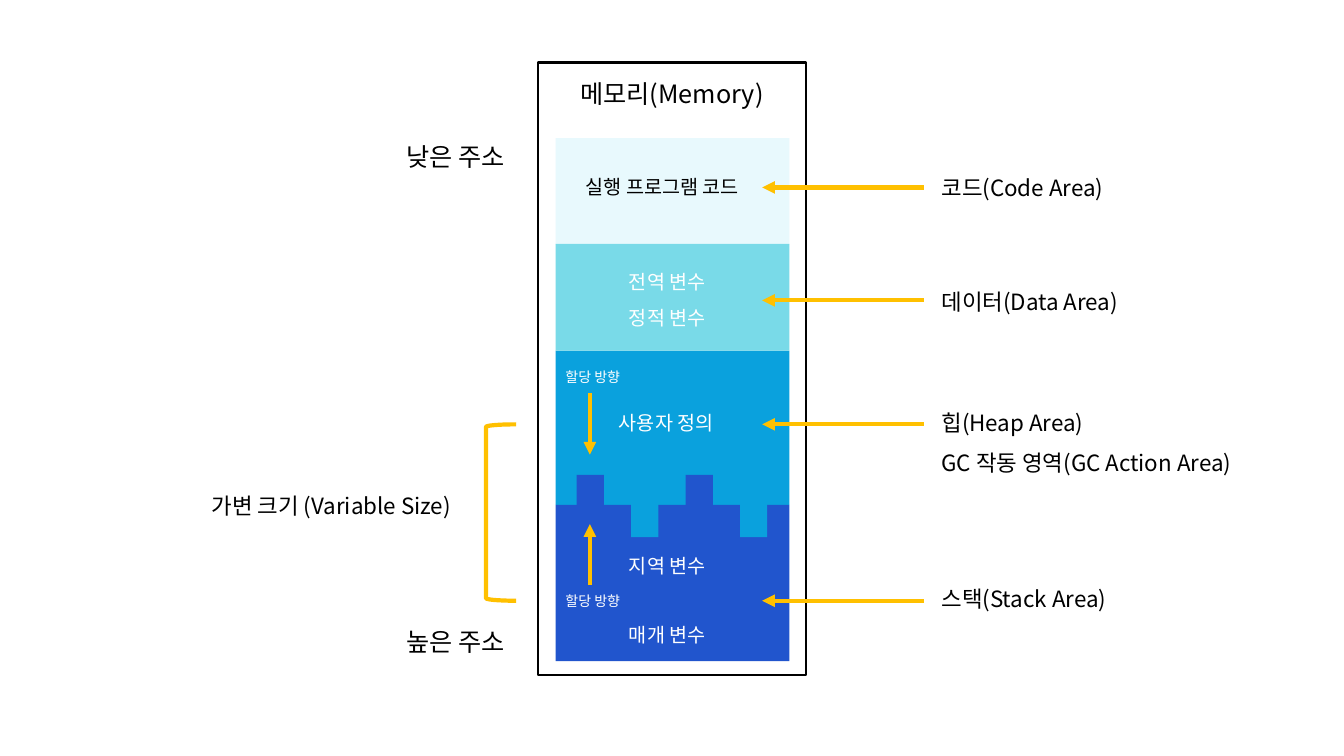
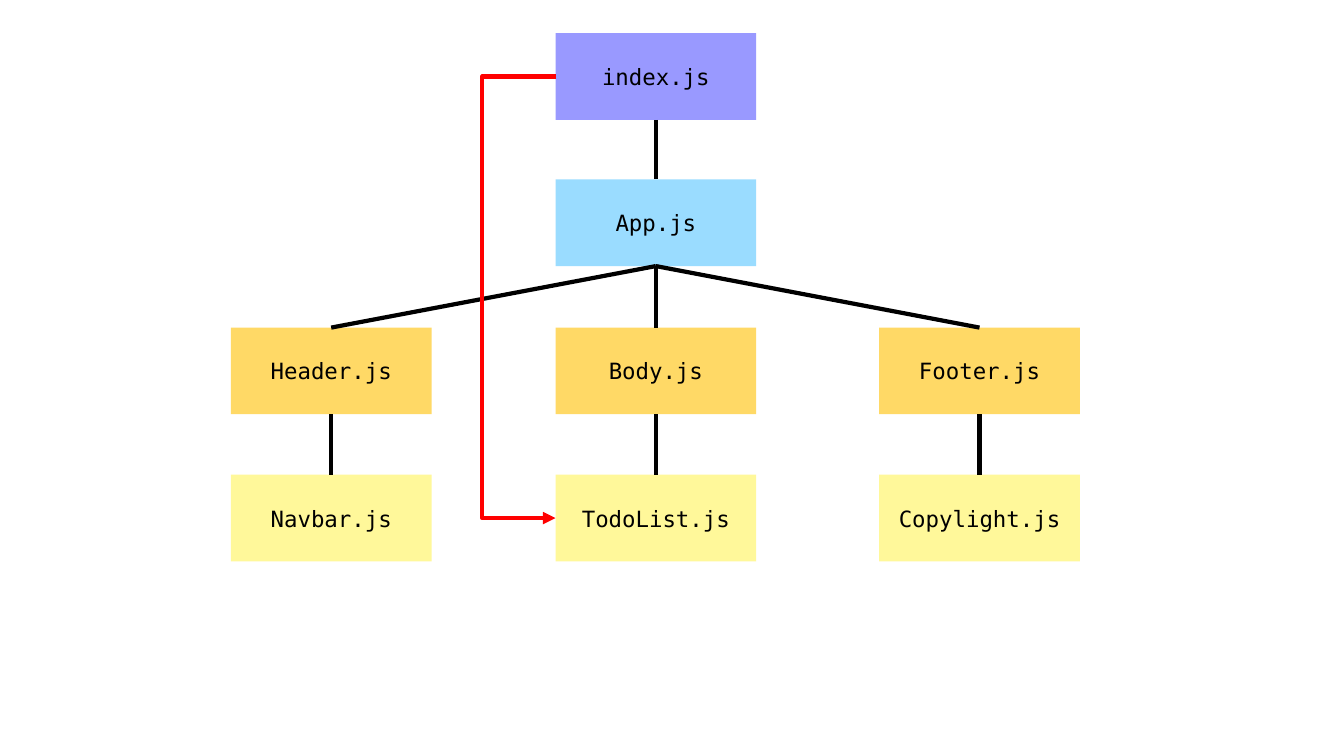
from dataclasses import dataclass
from typing import Optional

from lxml.etree import SubElement
from pptx import Presentation
from pptx.dml.color import RGBColor
from pptx.enum.shapes import MSO_CONNECTOR as Line, MSO_SHAPE as Shape
from pptx.enum.text import MSO_ANCHOR as Anchor, MSO_AUTO_SIZE as AutoSize, PP_ALIGN as Align
from pptx.oxml.ns import qn
from pptx.util import Inches, Pt

KOREAN = "Noto Sans CJK KR"
MONO = "DejaVu Sans Mono"
BLACK, WHITE, AMBER, RED = "000000", "FFFFFF", "FFC000", "FF0000"
HEAP, STACK = "0AA1DD", "2155CD"
LINE_WIDTH = 3

BAND_LEFT, BAND_WIDTH = 5.51, 2.32
TOOTH_LEFT, TOOTH_TOP, TOOTH_STEP = 5.72, 4.71, 0.54
TOOTH_WIDTH, TOOTH_HEIGHT = 0.27, 0.62
POINTER_START, POINTER_END = 9.16, 7.56
POINTER_ROWS = (1.86, 2.98, 4.21, 5.96)
GROWTH_X = 5.85

FILE_WIDTH, FILE_HEIGHT = 1.99, 0.86
COLUMNS = (2.29, 5.51, 8.72)
ROWS = (0.33, 1.78, 3.25, 4.71)
ROW_FILLS = ("9999FF", "9ADCFF", "FFD966", "FFF89A")
DETOUR_X = 4.77


@dataclass(frozen=True)
class Band:
    top: float
    height: float
    fill: str


@dataclass(frozen=True)
class Label:
    text: str
    left: float
    top: float
    width: float
    height: float
    size: int
    color: str = BLACK
    wrap: bool = True
    align: Align = Align.LEFT


@dataclass(frozen=True)
class SourceFile:
    name: str
    row: int
    column: int
    parent: Optional[str] = None


def variable_label(text: str, top: float, left: float = 6.14, width: float = 1.06,
                   color: str = WHITE) -> Label:
    return Label(text, left, top, width, 0.34, 14, color, wrap=False)


def area_label(text: str, top: float, width: float, left: float = 9.24) -> Label:
    return Label(text, left, top, width, 0.37, 16)


def address_label(text: str, top: float) -> Label:
    return Label(text, 3.93, top, 1.3, 0.4, 18, wrap=False)


def growth_label(top: float) -> Label:
    return Label("할당 방향", BAND_LEFT, top, 0.81, 0.27, 10, WHITE, wrap=False)


BANDS = (
    Band(3.48, 1.53, HEAP),
    Band(5.01, 1.55, STACK),
    Band(1.37, 1.06, "E8F9FD"),
    Band(2.42, 1.06, "79DAE8"),
)

LABELS = (
    Label("메모리(Memory)", 5.55, 0.73, 2.23, 0.4, 18, align=Align.CENTER),
    address_label("낮은 주소", 1.35),
    address_label("높은 주소", 6.16),
    variable_label("실행 프로그램 코드", 1.69, 5.71, 1.91, BLACK),
    variable_label("전역 변수", 2.63),
    variable_label("정적 변수", 2.99),
    variable_label("사용자 정의", 4.03, 6.04, 1.25),
    variable_label("지역 변수", 5.45),
    variable_label("매개 변수", 6.13),
    growth_label(3.61),
    growth_label(5.83),
    area_label("코드(Code Area)", 1.68, 1.98),
    area_label("데이터(Data Area)", 2.81, 1.98),
    area_label("힙(Heap Area)", 4.01, 1.73),
    area_label("GC 작동 영역(GC Action Area)", 4.41, 3.35),
    area_label("스택(Stack Area)", 5.76, 1.94),
    area_label("가변 크기 (Variable Size)", 4.83, 2.66, left=2),
)

FILES = (
    SourceFile("index.js", 0, 1),
    SourceFile("App.js", 1, 1, "index.js"),
    SourceFile("Header.js", 2, 0, "App.js"),
    SourceFile("Body.js", 2, 1, "App.js"),
    SourceFile("Footer.js", 2, 2, "App.js"),
    SourceFile("Navbar.js", 3, 0, "Header.js"),
    SourceFile("TodoList.js", 3, 1, "Body.js"),
    SourceFile("Copylight.js", 3, 2, "Footer.js"),
)


def rgb(color: str) -> RGBColor:
    return RGBColor.from_string(color)


def write(para, text: str, font: str, size: int, color: str, align: Align) -> None:
    para.text = text
    para.alignment = align
    para.font.name = font
    para.font.size = Pt(size)
    para.font.color.rgb = rgb(color)
    defaults = para._p.pPr.find(qn("a:defRPr"))
    SubElement(defaults, qn("a:ea"), typeface=font)


def add_box(page, left: float, top: float, width: float, height: float,
            fill: Optional[str] = None, line: Optional[str] = None,
            weight: float = LINE_WIDTH, kind: Shape = Shape.RECTANGLE):
    box = page.shapes.add_shape(kind, Inches(left), Inches(top), Inches(width), Inches(height))
    box.shadow.inherit = False
    if fill:
        box.fill.solid()
        box.fill.fore_color.rgb = rgb(fill)
    else:
        box.fill.background()
    if line:
        box.line.color.rgb = rgb(line)
        box.line.width = Pt(weight)
    else:
        box.line.fill.background()
    return box


def add_label(page, label: Label) -> None:
    box = page.shapes.add_textbox(Inches(label.left), Inches(label.top),
                                  Inches(label.width), Inches(label.height))
    frame = box.text_frame
    frame.word_wrap = label.wrap
    frame.auto_size = AutoSize.SHAPE_TO_FIT_TEXT
    write(frame.paragraphs[0], label.text, KOREAN, label.size, label.color, label.align)


def add_line(page, start: tuple[float, float], end: tuple[float, float], color: str,
             arrow: bool = False, kind: Line = Line.STRAIGHT):
    line = page.shapes.add_connector(kind, *map(Inches, (*start, *end)))
    line.line.color.rgb = rgb(color)
    line.line.width = Pt(LINE_WIDTH)
    if arrow:
        SubElement(line.line._get_or_add_ln(), qn("a:tailEnd"), type="triangle")
    SubElement(line._element.spPr, qn("a:effectLst"))
    return line


def draw_memory(page) -> None:
    add_box(page, 5.34, 0.62, 2.65, 6.08, WHITE, BLACK, 1.5)
    for band in BANDS:
        add_box(page, BAND_LEFT, band.top, BAND_WIDTH, band.height, band.fill)
    for index, fill in enumerate((STACK, HEAP) * 2):
        add_box(page, TOOTH_LEFT + index * TOOTH_STEP, TOOTH_TOP, TOOTH_WIDTH, TOOTH_HEIGHT, fill)
    for y in POINTER_ROWS:
        add_line(page, (POINTER_START, y), (POINTER_END, y), AMBER, arrow=True)
    for start, end in ((3.9, 4.51), (5.8, 5.2)):
        add_line(page, (GROWTH_X, start), (GROWTH_X, end), AMBER, arrow=True)
    heap_y, stack_y = POINTER_ROWS[2:]
    add_box(page, 4.82, heap_y, 0.3, stack_y - heap_y, line=AMBER, kind=Shape.LEFT_BRACKET)
    for label in LABELS:
        add_label(page, label)


def draw_file_tree(page) -> None:
    boxes = {}
    for file in FILES:
        left, top = COLUMNS[file.column], ROWS[file.row]
        box = add_box(page, left, top, FILE_WIDTH, FILE_HEIGHT, ROW_FILLS[file.row])
        frame = box.text_frame
        frame.vertical_anchor = Anchor.MIDDLE
        write(frame.paragraphs[0], file.name, MONO, 16, BLACK, Align.CENTER)
        boxes[file.name] = box
        if file.parent:
            line = add_line(page, (left, top), (left, top), BLACK)
            line.begin_connect(boxes[file.parent], 2)
            line.end_connect(box, 0)

    end_x = COLUMNS[1]
    start_x = end_x + 0.01
    start_y, end_y = (ROWS[row] + FILE_HEIGHT / 2 for row in (0, 3))
    detour = add_line(page, (start_x, start_y), (end_x, end_y), RED, arrow=True, kind=Line.ELBOW)
    bend = round((start_x - DETOUR_X) / (start_x - end_x) * 100000)
    guides = detour._element.spPr.find(qn("a:prstGeom")).find(qn("a:avLst"))
    SubElement(guides, qn("a:gd"), name="adj1", fmla=f"val {bend}")


def main() -> None:
    deck = Presentation()
    deck.slide_width, deck.slide_height = Inches(13.33), Inches(7.5)
    blank = deck.slide_layouts.get_by_name("Blank")
    for draw in (draw_memory, draw_file_tree):
        draw(deck.slides.add_slide(blank))
    deck.save("out.pptx")


if __name__ == "__main__":
    main()
